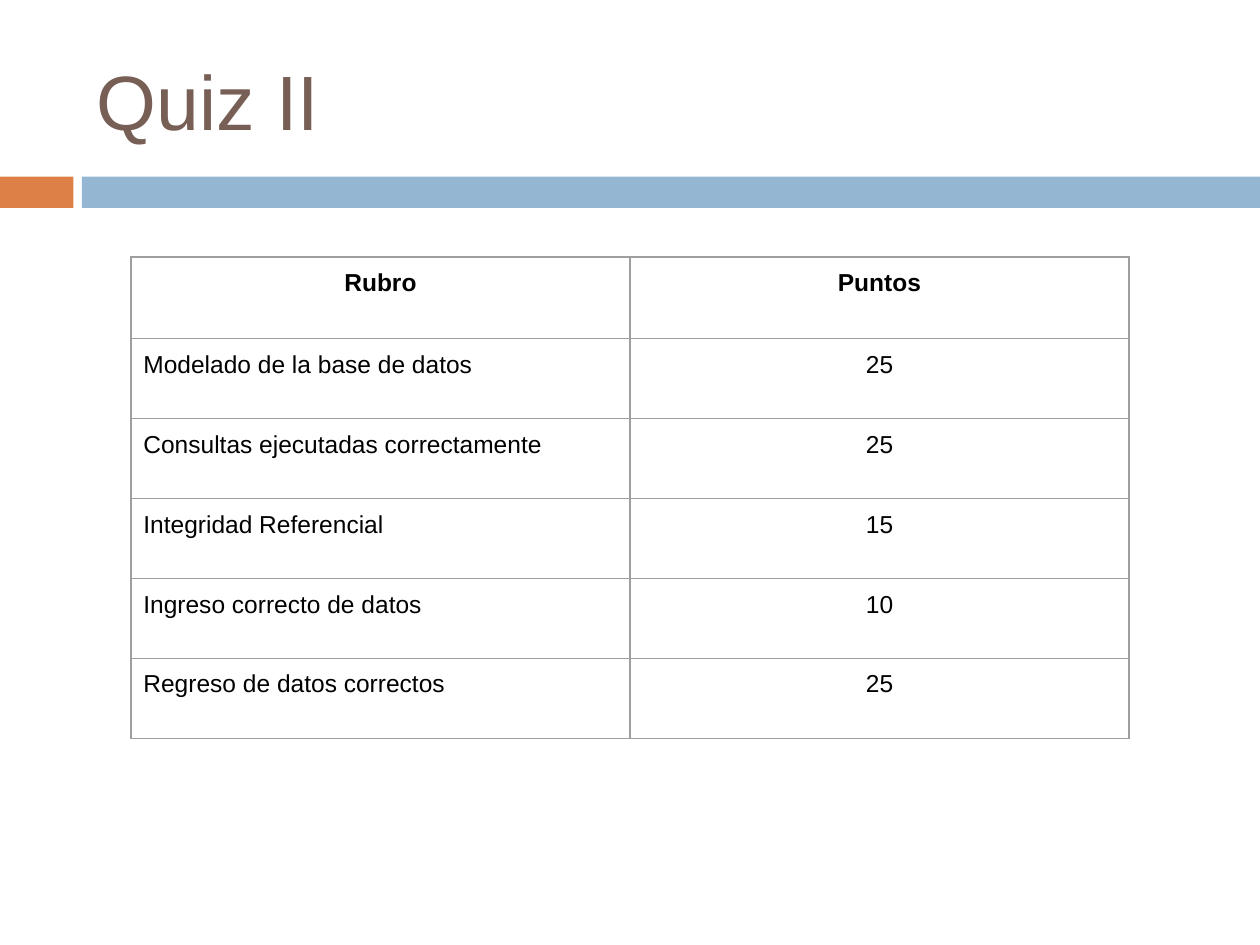
"""Build a quiz grading slide with a title, a colour band and a points table."""
from lxml import etree
from pptx import Presentation
from pptx import util as u
from pptx.dml.color import RGBColor
from pptx.enum import shapes, text
from pptx.oxml import ns

TITLE = "Quiz II"
ROWS = [
    ("Rubro", "Puntos"),
    ("Modelado de la base de datos", "25"),
    ("Consultas ejecutadas correctamente", "25"),
    ("Integridad Referencial", "15"),
    ("Ingreso correcto de datos", "10"),
    ("Regreso de datos correctos", "25"),
]
THEME = {
    "font": "Arial", "title_size": 44, "cell_size": 14,
    "title": "775F55", "ink": "000000", "border": "9E9E9E",
    "accent": "DD8047", "band": "94B6D2",
}
WIDTH, HEIGHT = 25.4, 19.05
BAND_TOP, BAND_H, ACCENT_W, BAND_LEFT = 3.56, 0.63, 1.48, 1.65
TITLE_BOX = (1.7, 0.64, 22.66, 2.74)
TABLE_LEFT, TABLE_TOP, COL_W = 2.64, 5.18, 10.06
HEADER_H, ROW_H = 1.65, 1.61
INSET, BORDER_PT = 0.25, 0.75


def write(tf, content, size, color, bold=False, align=text.PP_ALIGN.LEFT):
    """Write one formatted paragraph into a text frame."""
    tf.word_wrap = True
    p = tf.paragraphs[0]
    p.alignment = align
    r = p.add_run()
    r.text = content
    r.font.name = THEME["font"]
    r.font.size = u.Pt(size)
    r.font.bold = bold
    r.font.color.rgb = RGBColor.from_string(color)


def set_insets(target):
    """Give a cell or text frame equal insets on all sides."""
    for side in ("left", "top", "right", "bottom"):
        setattr(target, f"margin_{side}", u.Cm(INSET))


def add_bar(slide, left, width, color):
    """Add one plain rectangle of the band below the title."""
    sp = slide.shapes.add_shape(
        shapes.MSO_SHAPE.RECTANGLE, *map(u.Cm, (left, BAND_TOP, width, BAND_H)))
    sp.shadow.inherit = False
    sp.fill.solid()
    sp.fill.fore_color.rgb = RGBColor.from_string(color)
    sp.line.fill.background()


def set_borders(cell):
    """Draw a thin line on the four sides of a cell."""
    tc_pr = cell._tc.get_or_add_tcPr()
    for tag in ("a:lnL", "a:lnR", "a:lnT", "a:lnB"):
        ln = etree.SubElement(tc_pr, ns.qn(tag), w=str(u.Pt(BORDER_PT)))
        fill = etree.SubElement(ln, ns.qn("a:solidFill"))
        etree.SubElement(fill, ns.qn("a:srgbClr"), val=THEME["border"])


def add_points_table(slide):
    """Add the table of graded items and their points."""
    heights = [HEADER_H] + [ROW_H] * (len(ROWS) - 1)
    cols = len(ROWS[0])
    table = slide.shapes.add_table(
        len(ROWS), cols,
        *map(u.Cm, (TABLE_LEFT, TABLE_TOP, COL_W * cols, sum(heights)))).table
    table.first_row = table.horz_banding = False
    for col in table.columns:
        col.width = u.Cm(COL_W)
    for i, (values, height) in enumerate(zip(ROWS, heights)):
        table.rows[i].height = u.Cm(height)
        for j, value in enumerate(values):
            cell = table.cell(i, j)
            set_insets(cell)
            set_borders(cell)
            cell.fill.background()
            centred = i == 0 or j > 0
            write(cell.text_frame, value, THEME["cell_size"], THEME["ink"], bold=i == 0,
                  align=text.PP_ALIGN.CENTER if centred else text.PP_ALIGN.LEFT)


def main():
    """Build and save the slide."""
    prs = Presentation()
    prs.slide_width, prs.slide_height = u.Cm(WIDTH), u.Cm(HEIGHT)
    s = prs.slides.add_slide(prs.slide_layouts[6])
    add_bar(s, 0, ACCENT_W, THEME["accent"])
    add_bar(s, BAND_LEFT, WIDTH - BAND_LEFT, THEME["band"])
    tf = s.shapes.add_textbox(*map(u.Cm, TITLE_BOX)).text_frame
    set_insets(tf)
    tf.vertical_anchor = text.MSO_ANCHOR.MIDDLE
    write(tf, TITLE, THEME["title_size"], THEME["title"])
    add_points_table(s)
    prs.save("out.pptx")


if __name__ == "__main__":
    main()
